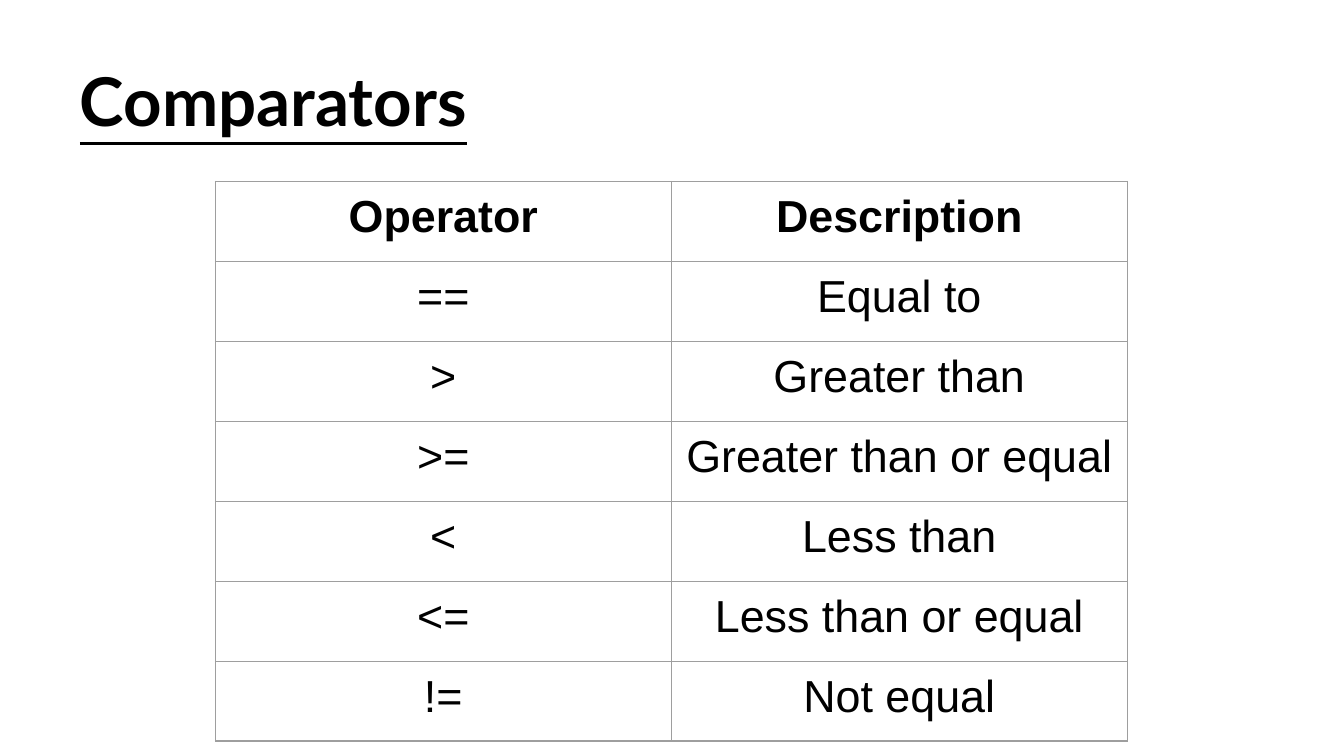
from lxml import etree
from pptx import Presentation
from pptx import util as u
from pptx.dml.color import RGBColor
from pptx.enum import text
from pptx.oxml.ns import qn

PX = 2286
COLORS = {"ink": "000000", "paper": "FFFFFF", "grid": "9E9E9E"}
ROWS = [
    ("Operator", "Description"),
    ("==", "Equal to"),
    (">", "Greater than"),
    (">=", "Greater than or equal"),
    ("<", "Less than"),
    ("<=", "Less than or equal"),
    ("!=", "Not equal"),
]


def px(n):
    return u.Emu(n * PX)


def write(tf, content, font="Arial", size=24, color="ink", bold=False,
          underline=False, align=text.PP_ALIGN.LEFT):
    p = tf.paragraphs[0]
    p.alignment = align
    r = p.add_run()
    r.text = content
    r.font.name = font
    r.font.size = u.Pt(size)
    r.font.bold = bold
    r.font.underline = underline
    r.font.color.rgb = RGBColor.from_string(COLORS[color])


class Deck:
    def __init__(self, width, height):
        self.prs = Presentation()
        self.prs.slide_width, self.prs.slide_height = px(width), px(height)
        self.s = None

    def slide(self):
        self.s = self.prs.slides.add_slide(self.prs.slide_layouts[6])
        fill = self.s.background.fill
        fill.solid()
        fill.fore_color.rgb = RGBColor.from_string(COLORS["paper"])

    def title(self, content, x, y, w, h, indent):
        tf = self.s.shapes.add_textbox(px(x), px(y), px(w), px(h)).text_frame
        tf.word_wrap = True
        tf.margin_left, tf.margin_top = px(indent), px(4)
        tf.margin_right = tf.margin_bottom = 0
        write(tf, content, font="Lato", size=36, bold=True, underline=True)

    def border(self, cell, width=0.75):
        tc_pr = cell._tc.get_or_add_tcPr()
        for side in ("a:lnL", "a:lnR", "a:lnT", "a:lnB"):
            ln = etree.SubElement(tc_pr, qn(side), w=str(u.Pt(width)))
            fill = etree.SubElement(ln, qn("a:solidFill"))
            etree.SubElement(fill, qn("a:srgbClr"), val=COLORS["grid"])

    def table(self, rows, x, y, col_w, row_h):
        cols = len(rows[0])
        table = self.s.shapes.add_table(
            len(rows), cols, px(x), px(y),
            px(col_w * cols), px(row_h * len(rows))).table
        table.first_row = table.horz_banding = False
        for i, row in enumerate(rows):
            for j, content in enumerate(row):
                cell = table.cell(i, j)
                cell.margin_left = cell.margin_right = cell.margin_bottom = 0
                cell.margin_top = px(32)
                self.border(cell)
                cell.fill.background()
                write(cell.text_frame, content, bold=i == 0,
                      align=text.PP_ALIGN.CENTER)


def main():
    deck = Deck(4000, 2250)
    deck.slide()
    deck.title("Comparators", 188, 172, 3628, 252, indent=50)
    deck.table(ROWS, 641, 540, col_w=1357, row_h=238)
    deck.prs.save("out.pptx")


if __name__ == "__main__":
    main()
